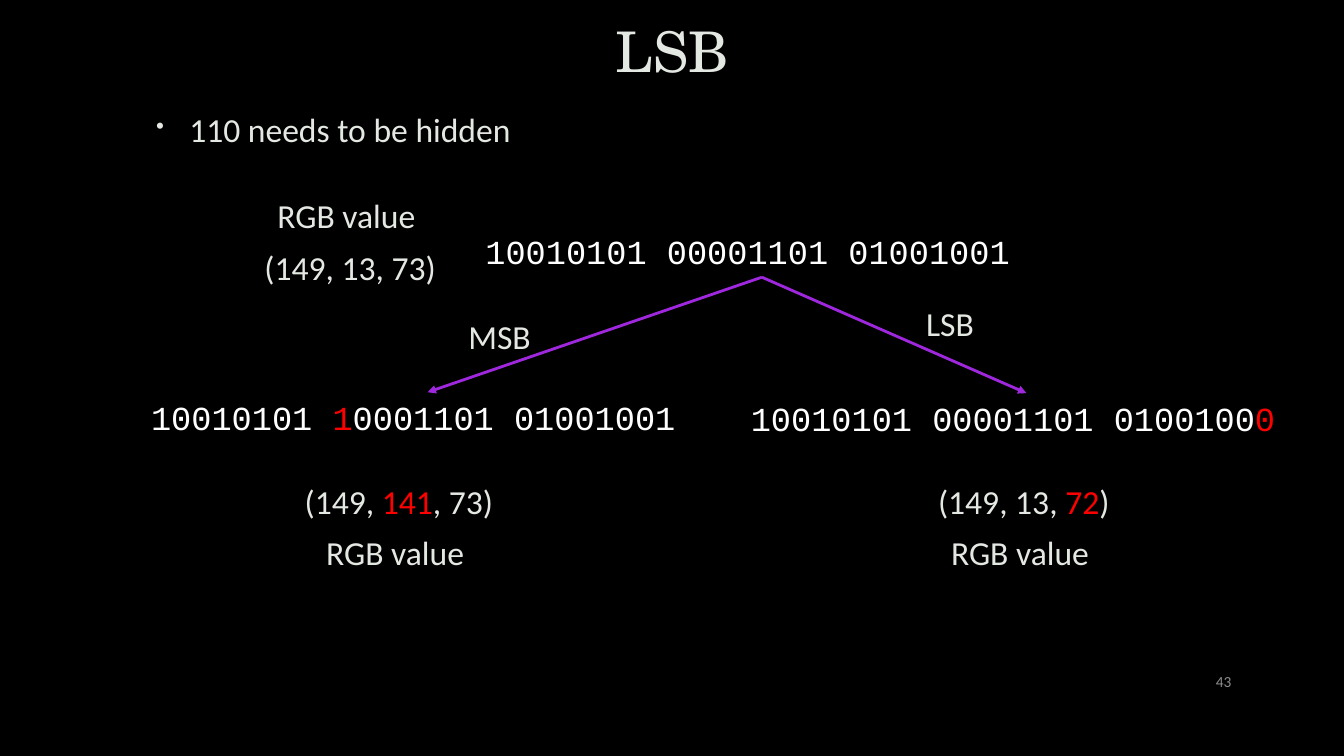
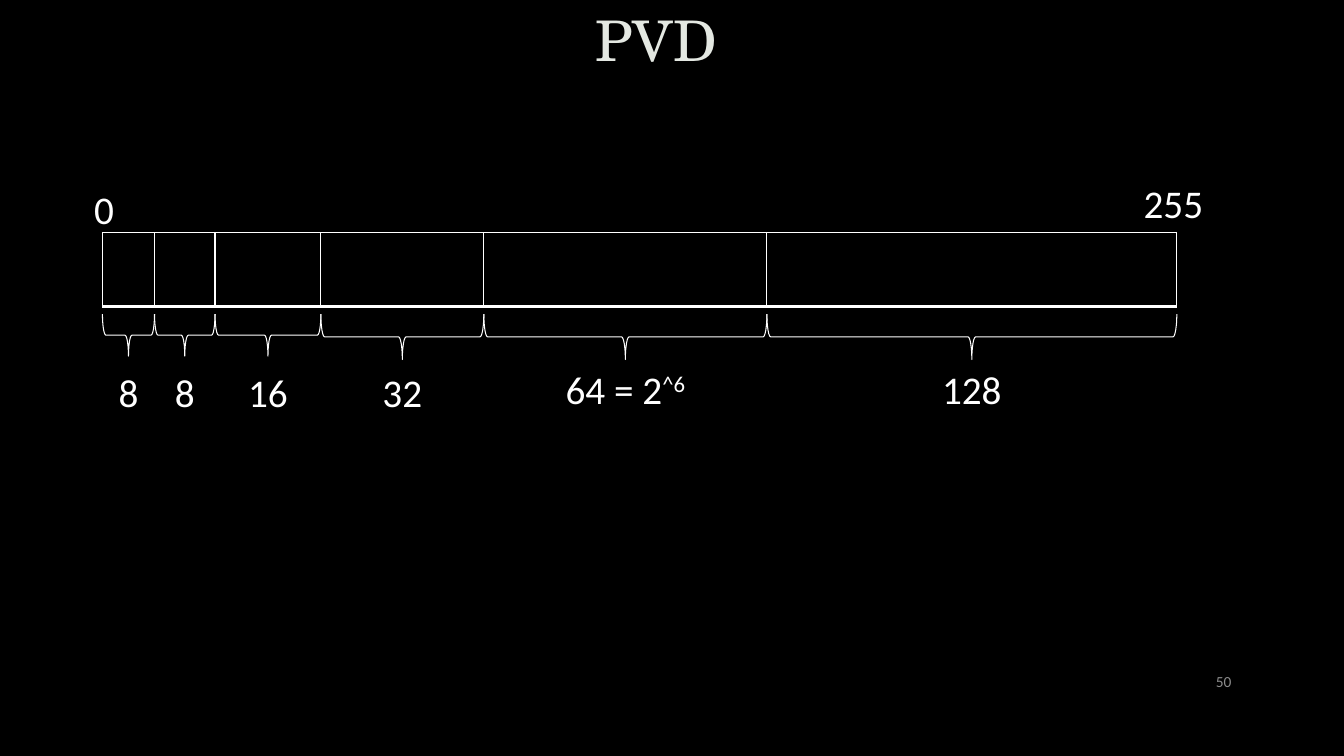
"""Build two dark slides on hiding bits in pixels: LSB and PVD."""
import pptx
import pptx.dml.color
import pptx.enum.shapes
import pptx.enum.text
import pptx.oxml
import pptx.oxml.ns
import pptx.util

Pt = pptx.util.Pt
RGB = pptx.dml.color.RGBColor.from_string
ALIGN = pptx.enum.text.PP_ALIGN
ANCHOR = pptx.enum.text.MSO_ANCHOR
SHAPE = pptx.enum.shapes.MSO_SHAPE
NS = pptx.oxml.ns.nsdecls("a")


class Theme:
    back, white, pale = "000000", "FFFFFF", "E4E8E2"
    red, line, grey, edge = "FF0000", "9F27DD", "8C8C8C", "404040"
    head = {"name": "TeX Gyre Schola", "size": Pt(40)}
    body = {"name": "Calibri", "size": Pt(24)}
    code = {"name": "Courier New", "size": Pt(24)}
    mark = {"name": "Calibri", "size": Pt(28)}
    page = {"name": "Calibri", "size": Pt(11)}


GAP = {"space_before": Pt(4.8), "space_after": Pt(6)}
MID = {"vertical_anchor": ANCHOR.MIDDLE}
LOOKS = {
    "title": {"font": Theme.head, "color": Theme.pale, "edge": True, "frame": MID,
              "para": {"alignment": ALIGN.CENTER, "line_spacing": 0.9}},
    "page": {"font": Theme.page, "color": Theme.grey, "frame": MID,
             "para": {"alignment": ALIGN.RIGHT}},
    "code": {"font": Theme.code, "color": Theme.white},
    "value": {"font": Theme.body, "color": Theme.pale, "edge": True, "indent": (0.04, 0),
              "para": {"alignment": ALIGN.CENTER, "line_spacing": 0.9, **GAP}},
    "label": {"font": Theme.body, "color": Theme.pale, "edge": True, "indent": (0.04, 0),
              "para": {"line_spacing": 1.1, **GAP}},
    "bullet": {"font": Theme.body, "color": Theme.pale, "edge": True, "indent": (0.38, -0.33),
               "dot": True, "para": {"line_spacing": 1.1, **GAP}},
    "mark": {"font": Theme.mark, "color": Theme.white, "frame": MID, "raise": True,
             "para": {"alignment": ALIGN.CENTER}},
}

deck = pptx.Presentation()
deck.slide_width, deck.slide_height = pptx.util.Emu(12192000), pptx.util.Emu(6858000)
CELL = deck.slide_width / 160
fill = deck.slide_master.background.fill
fill.solid()
fill.fore_color.rgb = RGB(Theme.back)


def grid(*cells):
    return [pptx.util.Emu(round(cell * CELL)) for cell in cells]


def write(shape, kind, *lines):
    look, frame = LOOKS[kind], shape.text_frame
    frame.word_wrap = True
    for key, val in look.get("frame", {}).items():
        setattr(frame, key, val)
    for row, line in enumerate(lines):
        para = frame.add_paragraph() if row else frame.paragraphs[0]
        for key, val in look.get("para", {}).items():
            setattr(para, key, val)
        if not row:
            para.space_before = Pt(0)
        props = para._p.get_or_add_pPr()
        if "indent" in look:
            for key, val in zip(("marL", "indent"), look["indent"]):
                props.set(key, str(pptx.util.Inches(val)))
        if "dot" in look:
            for xml in (f'<a:buClr {NS}><a:srgbClr val="{Theme.pale}"/></a:buClr>',
                        f'<a:buSzPct {NS} val="70000"/>', f'<a:buChar {NS} char="•"/>'):
                props.append(pptx.oxml.parse_xml(xml))
        for part, text in enumerate(line):
            run = para.add_run()
            run.text = text
            for key, val in look["font"].items():
                setattr(run.font, key, val)
            odd, up = part % 2, "raise" in look
            run.font.color.rgb = RGB(Theme.red if odd and not up else look["color"])
            chars = run._r.get_or_add_rPr()
            if odd and up:
                chars.set("baseline", "30000")
            if "edge" in look:
                chars.insert(0, pptx.oxml.parse_xml(
                    f'<a:ln {NS} w="9525"><a:solidFill><a:srgbClr val="{Theme.edge}">'
                    '<a:alpha val="10000"/></a:srgbClr></a:solidFill></a:ln>'))


slides = []
for name, page, place in (("LSB", "43", (12.1, 0.4, 135.8, 12.2)),
                          ("PVD", "50", (10.2, -0.5, 135.8, 11.4))):
    slide = deck.slides.add_slide(deck.slide_layouts[5])
    title = slide.shapes.title
    for key, val in zip(("left", "top", "width", "height"), grid(*place)):
        setattr(title, key, val)
    write(title, "title", [name])
    write(slide.shapes.add_textbox(*grid(138, 78.7, 9.8, 4.8)), "page", [page])
    slides.append(slide.shapes)
bits, bands = slides

for end in ((50.9, 46.7), (122.2, 46.8)):
    arrow = bits.add_connector(pptx.enum.shapes.MSO_CONNECTOR.STRAIGHT, *grid(90.7, 33, *end))
    arrow.line.color.rgb = RGB(Theme.line)
    arrow.line.width = Pt(2)
    arrow.line._get_or_add_ln().append(pptx.oxml.parse_xml(f'<a:tailEnd {NS} type="triangle"/>'))
    arrow._element.spPr.append(pptx.oxml.parse_xml(f"<a:effectLst {NS}/>"))

for kind, place, lines in (
    ("bullet", (16.8, 11.9, 135.8, 7.4), [["110 needs to be hidden"]]),
    ("code", (56.6, 26.9, 68, 6), [["10010101 00001101 01001001"]]),
    ("code", (16.8, 46.7, 68, 6), [["10010101 ", "1", "0001101 01001001"]]),
    ("code", (88.2, 46.8, 68, 6), [["10010101 00001101 0100100", "0"]]),
    ("value", (26.2, 23.2, 30.5, 13.7), [["RGB value "], ["(149, 13, 73)"]]),
    ("value", (30.5, 57.2, 33.5, 13.7), [["(149, ", "141", ", 73)"], ["RGB value "]]),
    ("value", (106.4, 57.2, 30.5, 13.7), [["(149, 13, ", "72", ")"], ["RGB value "]]),
    ("label", (54.1, 36.5, 13.7, 9.5), [["MSB"]]),
    ("label", (108.6, 35, 13.7, 9.5), [["LSB"]]),
):
    write(bits.add_textbox(*grid(*place)), kind, *lines)

BANDS = (
    (6.2, 5, 42.8, ["8"]),
    (7.2, 5, 42.8, ["8"]),
    (12.6, 5, 42.8, ["16"]),
    (19.4, 5.4, 42.8, ["32"]),
    (33.7, 5.4, 42.5, ["64 = 2", "^6"]),
    (48.8, 5.4, 42.5, ["128"]),
)
left, top, tall, wide = 12.2, 27.7, 8.8, 12.7
total = sum(band[0] for band in BANDS)
table = bands.add_table(1, len(BANDS), *grid(left, top, total, tall)).table
table.first_row = table.horz_banding = False
for col, (span, deep, low, text) in enumerate(BANDS):
    table.columns[col].width = grid(span)[0]
    cell = table.cell(0, col)
    for side, size in (("L", 1), ("R", 1), ("T", 1), ("B", 3)):
        cell._tc.get_or_add_tcPr().append(pptx.oxml.parse_xml(
            f'<a:ln{side} {NS} w="{Pt(size)}"><a:solidFill><a:srgbClr val="{Theme.white}"/>'
            f"</a:solidFill></a:ln{side}>"))
    cell.fill.background()
    mid = left + span / 2
    brace = bands.add_shape(SHAPE.LEFT_BRACE,
                            *grid(mid - deep / 2, 37.4 + deep / 2 - span / 2, deep, span))
    brace.rotation = 270
    brace.shadow.inherit = False
    brace.fill.background()
    brace.line.color.rgb = RGB(Theme.white)
    brace.line.width = Pt(0.75)
    room = wide if len(text) == 1 else 21.8
    write(bands.add_textbox(*grid(mid - room / 2, low, room, 7.6)), "mark", text)
    left += span

for mid, high, text in ((12.4, 21, "0"), (139.7, 20.4, "255")):
    write(bands.add_textbox(*grid(mid - wide / 2, high, wide, 7.6)), "mark", [text])

deck.save("out.pptx")
